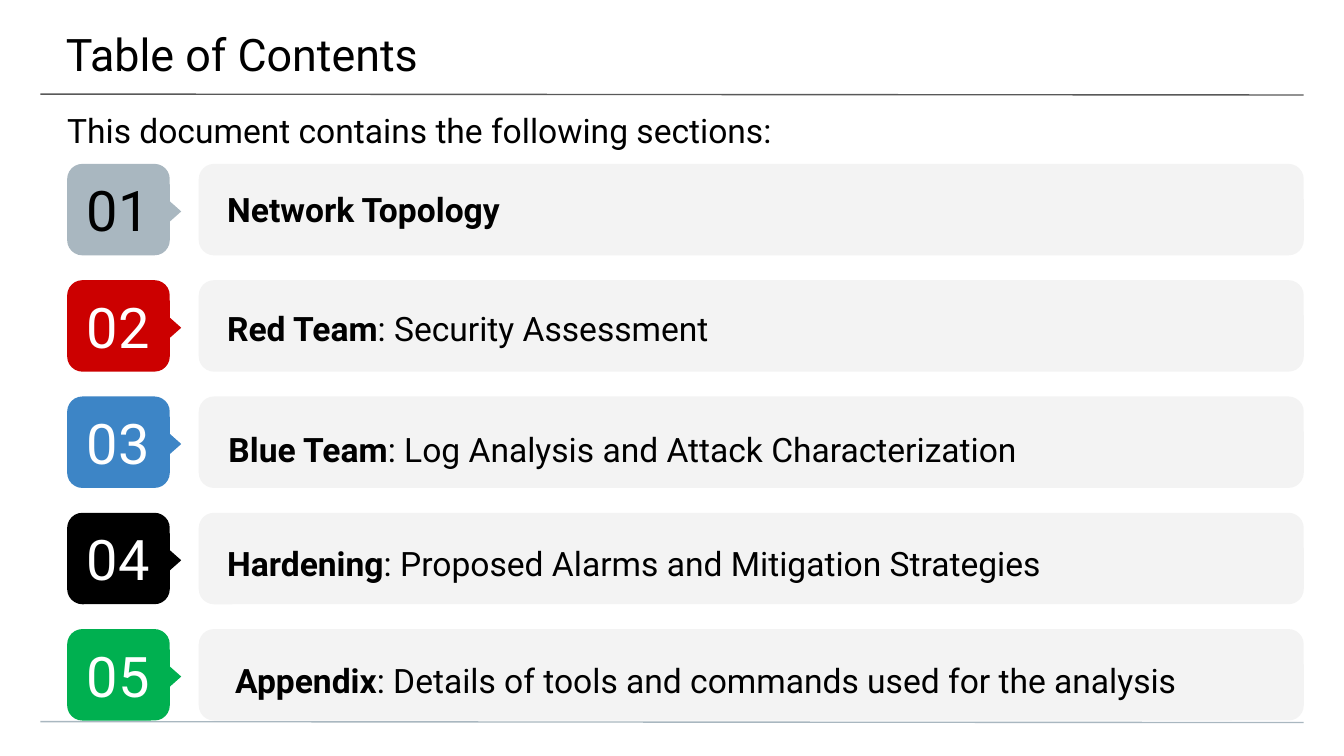
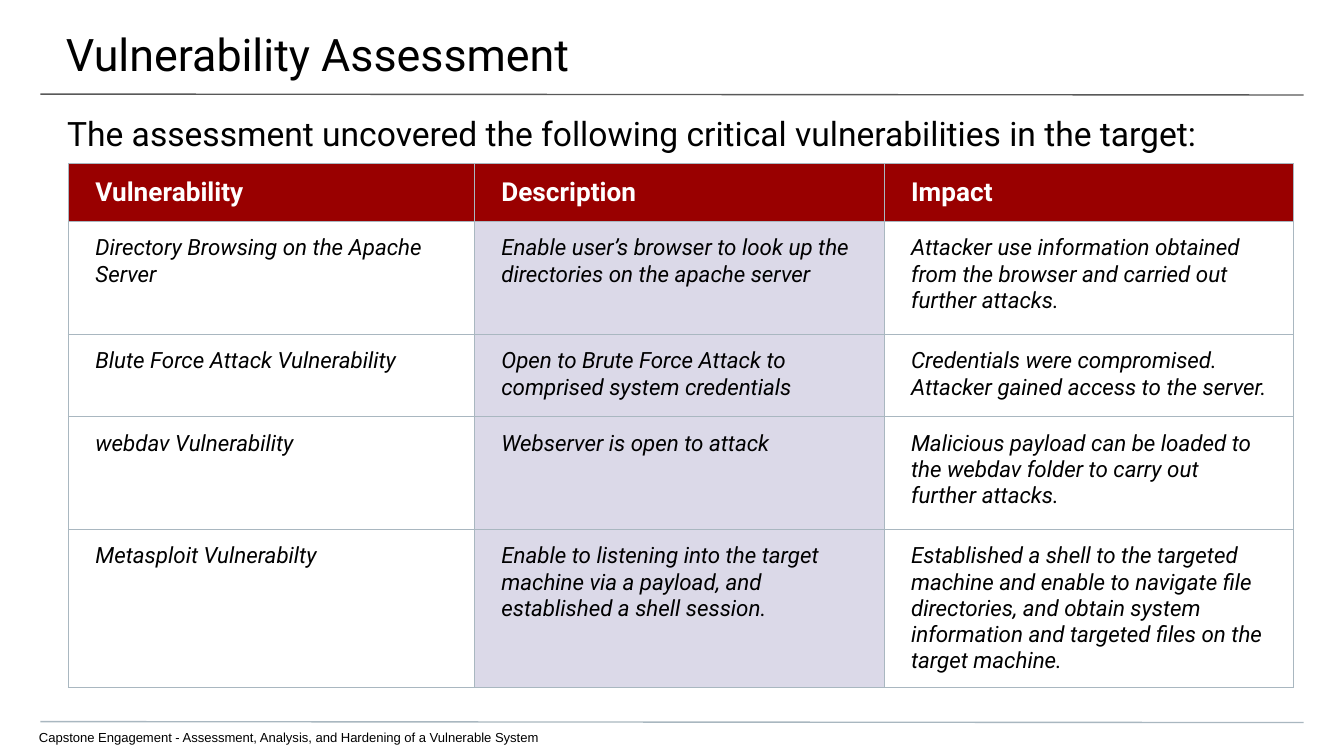
import pptx
import pptx.dml.color
import pptx.enum.shapes
import pptx.enum.text
import pptx.oxml
import pptx.oxml.ns
import pptx.util
from lxml import etree

Pt = pptx.util.Pt
SHAPE = pptx.enum.shapes.MSO_SHAPE
ALIGN = pptx.enum.text.PP_ALIGN
ANCHOR = pptx.enum.text.MSO_ANCHOR
qn = pptx.oxml.ns.qn

COLORS = {
    "text": "000000",
    "white": "FFFFFF",
    "rule": "595959",
    "gray": "A9B7C0",
    "bar": "F3F3F3",
    "red": "CC0000",
    "blue": "3D85C6",
    "green": "00B050",
    "header": "990000",
    "lilac": "DBD9E8",
}

SECTIONS = [
    ("Network Topology", "", "gray", "text", (-0.7, 86.4)),
    ("Red Team", ": Security Assessment", "red", "white", (-0.7, 150.5)),
    ("Blue Team", ": Log Analysis and Attack Characterization", "blue", "white", (0, 215.3)),
    ("Hardening", ": Proposed Alarms and Mitigation Strategies", "text", "white", (-0.7, 276.5)),
    ("Appendix", ": Details of tools and commands used for the analysis", "green", "white", (3.6, 339.1)),
]
FIRST_TOP, PITCH, ROW_HEIGHT = 87.8, 62.3, 49

VULNERABILITIES = [
    ("Vulnerability", "Description", "Impact"),
    ("Directory Browsing on the Apache Server",
     "Enable user’s browser to look up the directories on the apache server",
     "Attacker use information obtained from the browser and carried out further attacks."),
    ("Blute Force Attack Vulnerability",
     "Open to Brute Force Attack to comprised system credentials",
     "Credentials were compromised. Attacker gained access to the server."),
    ("webdav Vulnerability",
     "Webserver is open to attack",
     "Malicious payload can be loaded to the webdav folder to carry out further attacks."),
    ("Metasploit Vulnerabilty",
     "Enable to listening into the target machine via a payload, and established a shell session.",
     "Established a shell to the targeted machine and enable to navigate file directories, "
     "and obtain system information and targeted files on the target machine."),
]
COL_WIDTHS = [217.5, 219.5, 219.5]
ROW_HEIGHTS = [31, 60.5, 44, 60.5, 84.5]


def rgb(name):
    return pptx.dml.color.RGBColor.from_string(COLORS[name])


def apply(obj, values):
    for key, value in values.items():
        setattr(obj, key, value)


def margins(left, top, right, bottom):
    return {"margin_left": Pt(left), "margin_top": Pt(top),
            "margin_right": Pt(right), "margin_bottom": Pt(bottom)}


class Deck:
    font = "Roboto"
    subtitle_insets = margins(36, 7.2, 36, 0)
    cell_insets = margins(14.4, 7.2, 14.4, 7.2)

    def __init__(self):
        self.prs = pptx.Presentation()
        apply(self.prs, {"slide_width": Pt(720), "slide_height": Pt(405)})
        self.s = None

    def slide(self, title):
        self.s = self.prs.slides.add_slide(self.prs.slide_layouts[5])
        self.rule(50.4, "rule")
        self.rule(386.6, "gray")
        sp = self.s.shapes.title
        apply(sp, {"left": Pt(-0.7), "top": Pt(0), "width": Pt(722), "height": Pt(42)})
        self.fill_frame(sp.text_frame, [(title, {"size": Pt(24)})],
                        margins(36, 14.4, 21.6, 7.2))

    def fill_frame(self, tf, runs, insets, color="text", anchor=ANCHOR.TOP,
                   align=ALIGN.LEFT, spacing=1.0):
        apply(tf, {"word_wrap": True, "vertical_anchor": anchor,
                   "auto_size": pptx.enum.text.MSO_AUTO_SIZE.NONE, **insets})
        self.fill_paragraph(tf.paragraphs[0], runs, color, align, spacing)

    def fill_paragraph(self, p, runs, color, align=ALIGN.LEFT, spacing=1.0):
        apply(p, {"alignment": align, "line_spacing": spacing})
        for text, values in runs:
            r = p.add_run()
            r.text = text
            apply(r.font, {"name": self.font, **values})
            r.font.color.rgb = rgb(color)

    def text(self, box, runs, insets, **style):
        sp = self.s.shapes.add_textbox(*map(Pt, box))
        self.fill_frame(sp.text_frame, runs, insets, **style)

    def subtitle(self, top, text):
        self.text((0, top, 720, 29), [(text, {"size": Pt(18)})], self.subtitle_insets)

    def footer(self, text):
        self.text((-0.7, 387.4, 628, 18), [(text, {"size": Pt(7), "name": "Arial"})],
                  margins(21.6, 3.6, 0, 0))

    def rule(self, y, color):
        cn = self.s.shapes.add_connector(
            pptx.enum.shapes.MSO_CONNECTOR.STRAIGHT,
            Pt(21.6), Pt(y), Pt(698.4), Pt(y + 0.5))
        cn.line.width = Pt(0.75)
        cn.line.color.rgb = rgb(color)
        etree.SubElement(cn.element.spPr, qn("a:effectLst"))

    def shape(self, parent, kind, box, color):
        sp = parent.shapes.add_shape(kind, *map(Pt, box))
        sp.shadow.inherit = False
        sp.fill.solid()
        sp.fill.fore_color.rgb = rgb(color)
        sp.line.fill.background()
        return sp

    def badge(self, top, number, color, text_color):
        group = self.s.shapes.add_group_shape()
        sp = self.shape(group, SHAPE.ROUNDED_RECTANGLE, (36, top, 55, ROW_HEIGHT), color)
        self.fill_frame(sp.text_frame, [(number, {"size": Pt(30)})],
                        margins(7.2, 7.2, 7.2, 7.2), color=text_color,
                        anchor=ANCHOR.MIDDLE, align=ALIGN.CENTER)
        pointer = self.shape(group, SHAPE.FLOWCHART_EXTRACT, (76.3, top + 18, 26.6, 15), color)
        pointer.rotation = 90

    def section(self, index, name, detail, color, text_color, label_at):
        top = FIRST_TOP + index * PITCH
        self.shape(self.s, SHAPE.ROUNDED_RECTANGLE, (106.5, top, 592, ROW_HEIGHT), "bar")
        self.badge(top, f"{index + 1:02d}", color, text_color)
        runs = [(name, {"size": Pt(18), "bold": True})]
        if detail:
            runs.append((detail, {"size": Pt(18), "bold": False}))
        self.text((*label_at, 722, 47.5), runs, margins(122.4, 0, 36, 0),
                  anchor=ANCHOR.MIDDLE, spacing=1.15)

    def borders(self, cell, color):
        tcPr = cell._tc.get_or_add_tcPr()
        for side in ("lnL", "lnR", "lnT", "lnB"):
            ln = etree.SubElement(tcPr, qn(f"a:{side}"), w=str(Pt(0.75)))
            fill = etree.SubElement(ln, qn("a:solidFill"))
            etree.SubElement(fill, qn("a:srgbClr"), val=COLORS[color])

    def cell(self, cell, text, fill, color, anchor, values):
        apply(cell, {"vertical_anchor": anchor, **self.cell_insets})
        self.borders(cell, "gray")
        if fill:
            cell.fill.solid()
            cell.fill.fore_color.rgb = rgb(fill)
        else:
            cell.fill.background()
        self.fill_paragraph(cell.text_frame.paragraphs[0], [(text, values)], color)

    def table(self, left, top, rows, widths, heights):
        frame = self.s.shapes.add_table(
            len(rows), len(widths), Pt(left), Pt(top), Pt(sum(widths)), Pt(sum(heights)))
        table = frame.table
        apply(table, {"first_row": False, "horz_banding": False})
        for column, width in zip(table.columns, widths):
            column.width = Pt(width)
        for i, (row, height) in enumerate(zip(rows, heights)):
            table.rows[i].height = Pt(height)
            for j, text in enumerate(row):
                if i == 0:
                    style = ("header", "white", ANCHOR.MIDDLE,
                             {"size": Pt(14), "bold": True})
                else:
                    style = ("lilac" if j == 1 else None, "text", ANCHOR.TOP,
                             {"size": Pt(12), "bold": False, "italic": True})
                self.cell(table.cell(i, j), text, *style)


def main():
    deck = Deck()

    deck.slide("Table of Contents")
    deck.subtitle(51.8, "This document contains the following sections:")
    for index, section in enumerate(SECTIONS):
        deck.section(index, *section)

    deck.slide("Vulnerability Assessment")
    deck.subtitle(53.3, "The assessment uncovered the following critical vulnerabilities in the target:")
    deck.footer("Capstone Engagement - Assessment, Analysis, and Hardening of a Vulnerable System")
    deck.table(36.7, 87.8, VULNERABILITIES, COL_WIDTHS, ROW_HEIGHTS)

    deck.prs.save("out.pptx")


if __name__ == "__main__":
    main()
